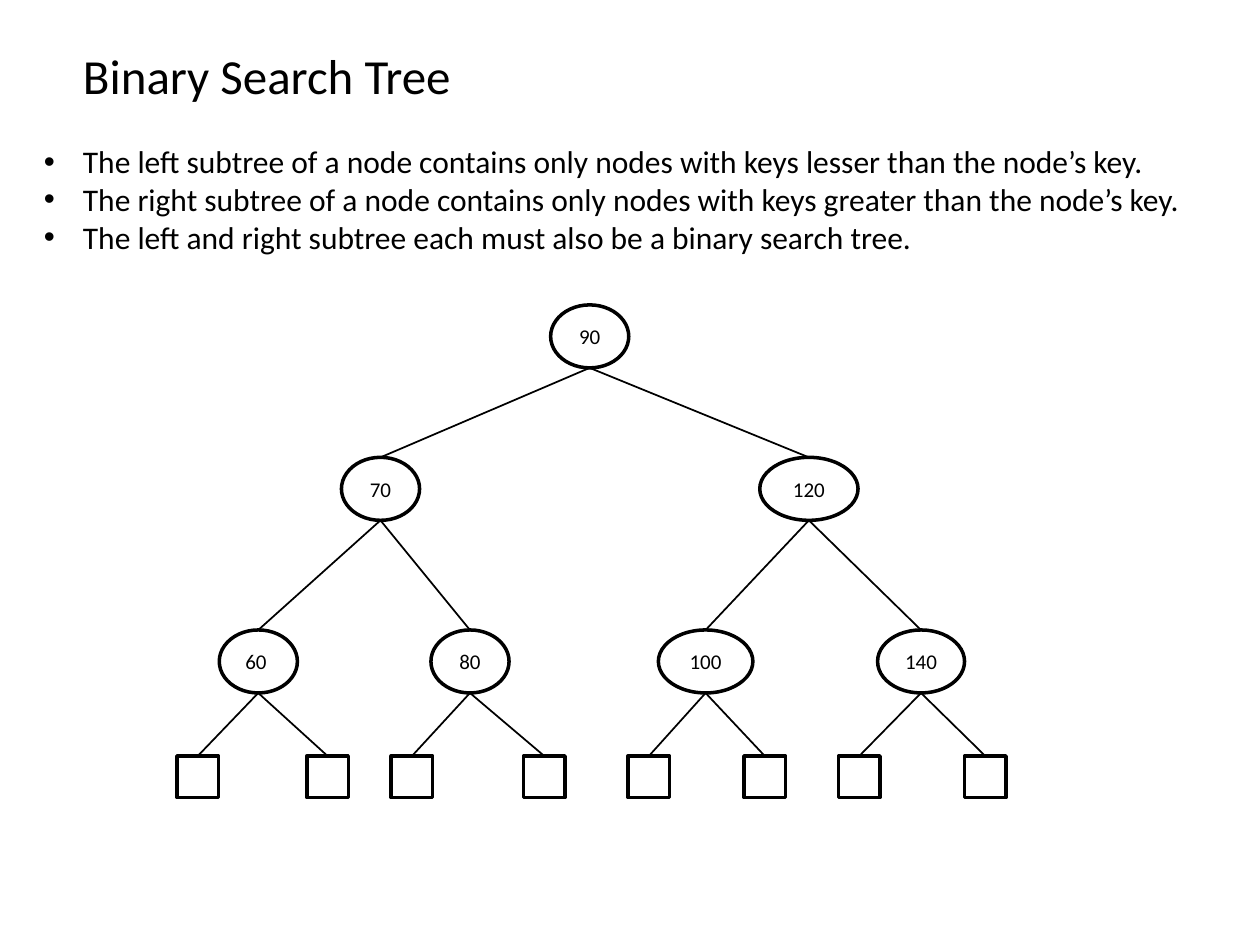
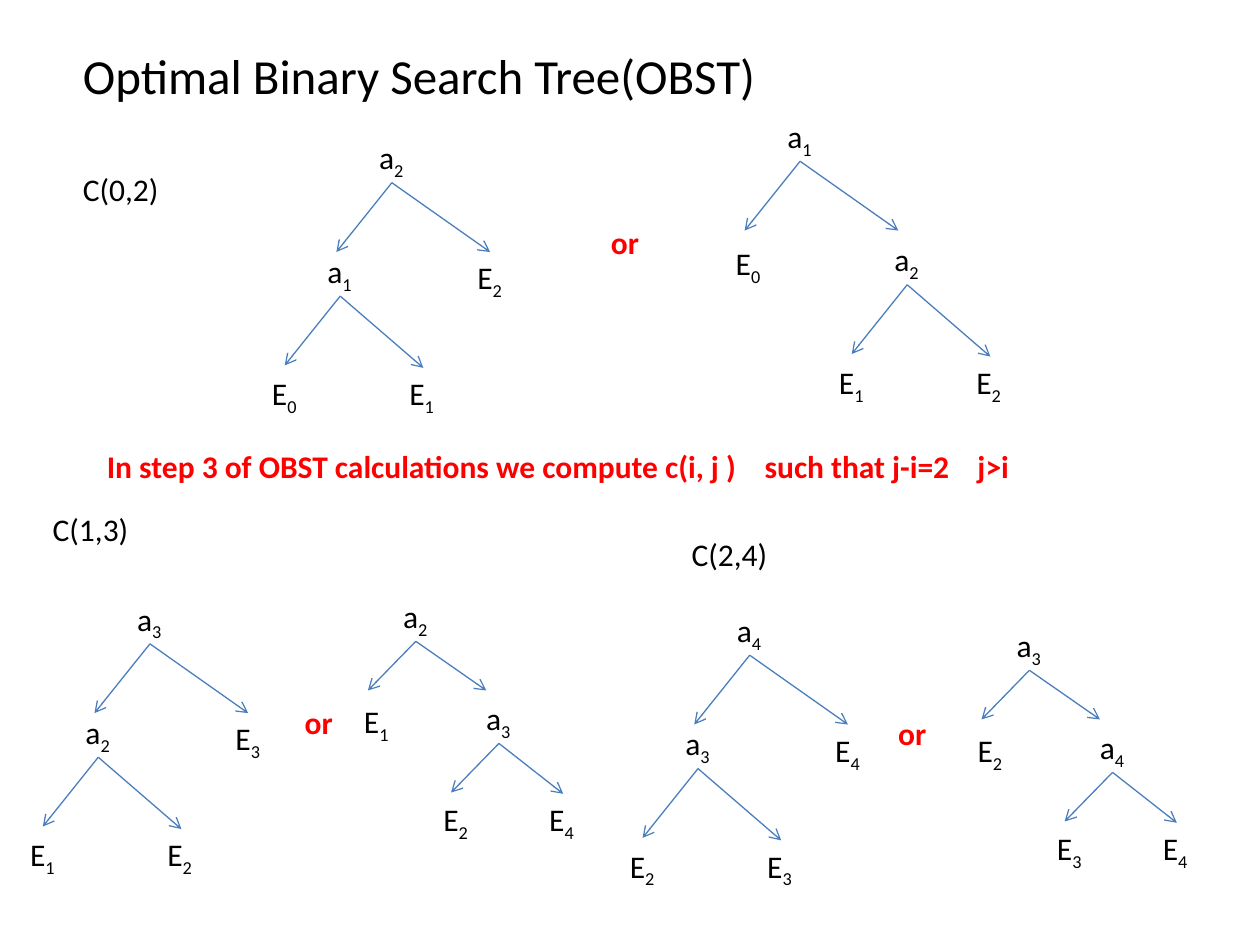
from dataclasses import dataclass
from typing import Optional

from lxml import etree
from pptx import Presentation
from pptx.dml.color import RGBColor
from pptx.enum import shapes, text
from pptx.oxml import ns
from pptx.shapes import autoshape, connector
from pptx.text.text import TextFrame
from pptx.util import Inches, Pt

BLACK = RGBColor(0, 0, 0)
RED = RGBColor(0xFF, 0, 0)
ARROW_BLUE = RGBColor(0x4B, 0x7E, 0xBC)
FONT = "Calibri"
BODY_SIZE = 18
NODE_HEIGHT = 0.5
LEAF_SIDE = 0.33
LEAF_TOP = 6
LABEL_SIDE = 0.41
LINE_HEIGHT = 0.4
BULLET_INDENT = 0.31

Point = tuple[float, float]


@dataclass(frozen=True)
class TextStyle:
    size: int = BODY_SIZE
    color: RGBColor = BLACK
    bold: bool = False


@dataclass(frozen=True)
class KeyNode:
    key: str
    center: float
    top: float
    width: float = 0.62
    children: tuple["KeyNode", ...] = ()
    leaves: tuple[float, ...] = ()


@dataclass(frozen=True)
class Fork:
    tips: tuple[Point, Point]
    children: tuple[Point, Point]


@dataclass(frozen=True)
class TreeForm:
    outer: Fork
    inner: Fork
    inner_side: int


@dataclass(frozen=True)
class SmallTree:
    left: float
    top: float
    form: TreeForm
    root: str
    leaf: str
    subtree: tuple[str, str, str]


@dataclass(frozen=True)
class Caption:
    words: str
    left: float
    top: float
    width: float
    style: TextStyle = TextStyle()


TITLE = TextStyle(size=28)
BODY = TextStyle()
NODE = TextStyle(size=12)
EMPHASIS = TextStyle(color=RED, bold=True)

SEARCH_TREE = KeyNode("90", 4.68, 2.42, children=(
    KeyNode("70", 3.02, 3.63, children=(
        KeyNode("60 ", 2.05, 5, leaves=(1.57, 2.6)),
        KeyNode("80", 3.73, 5, leaves=(3.27, 4.32)),
    )),
    KeyNode("120", 6.42, 3.63, 0.78, children=(
        KeyNode("100", 5.6, 5, 0.75, leaves=(5.15, 6.07)),
        KeyNode("140", 7.31, 5, 0.69, leaves=(6.82, 7.82)),
    )),
))

RULES = (
    "The left subtree of a node contains only nodes with keys lesser than the node’s key.",
    "The right subtree of a node contains only nodes with keys greater than the node’s key.",
    "The left and right subtree each must also be a binary search tree.",
)

FORK_START = (0.2, 0.4)
WIDE_TIPS = ((-0.24, 0.95), (0.98, 0.95))
WIDE_INNER = Fork(((-0.24, 0.95), (0.86, 0.97)), ((-0.44, 0.97), (0.65, 0.97)))
LEFT_FORM = TreeForm(Fork(WIDE_TIPS, ((-0.41, 0.9), (0.78, 0.95))), WIDE_INNER, 0)
RIGHT_FORM = TreeForm(Fork(WIDE_TIPS, ((-0.41, 1.01), (0.85, 0.98))), WIDE_INNER, 1)
COMPACT_FORM = TreeForm(
    Fork(((-0.18, 0.79), (0.76, 0.79)), ((-0.31, 0.83), (0.66, 0.81))),
    Fork(((-0.18, 0.79), (0.71, 0.8)), ((-0.34, 0.8), (0.5, 0.8))),
    1,
)

SMALL_TREES = (
    SmallTree(2.91, 1.05, LEFT_FORM, "a2", "E2", ("a1", "E0", "E1")),
    SmallTree(6.15, 0.88, RIGHT_FORM, "a1", "E0", ("a2", "E1", "E2")),
    SmallTree(0.99, 4.71, LEFT_FORM, "a3", "E3", ("a2", "E1", "E2")),
    SmallTree(3.1, 4.69, COMPACT_FORM, "a2", "E1", ("a3", "E2", "E4")),
    SmallTree(5.75, 4.8, LEFT_FORM, "a4", "E4", ("a3", "E2", "E3")),
    SmallTree(7.97, 4.92, COMPACT_FORM, "a3", "E2", ("a4", "E3", "E4")),
)

STEP_TABS = (5.22, 6.91)
STEP = Caption(
    "In step 3 of OBST calculations we compute c(i, j )\tsuch that j-i=2\tj>i",
    0.75, 3.5, 7.74, EMPHASIS,
)
CAPTIONS = (
    Caption("C(0,2)", 0.56, 1.3, 1.5),
    Caption("C(1,3)", 0.32, 4, 1.5),
    Caption("C(2,4)", 5.39, 4.2, 1.5),
    Caption("or", 4.75, 1.72, 0.5, EMPHASIS),
    Caption("or", 2.32, 5.53, 0.59, EMPHASIS),
    Caption("or", 7.03, 5.62, 0.59, EMPHASIS),
)


def format_text(frame: TextFrame, style: TextStyle) -> None:
    for para in frame.paragraphs:
        for span in para.runs:
            span.font.name = FONT
            span.font.size = Pt(style.size)
            span.font.color.rgb = style.color
            span.font.bold = style.bold


def add_text(holder, words: str, left: float, top: float, width: float,
             height: float = LINE_HEIGHT, style: TextStyle = BODY,
             wrap: bool = True) -> autoshape.Shape:
    box = holder.add_textbox(Inches(left), Inches(top), Inches(width), Inches(height))
    frame = box.text_frame
    frame.text = words
    frame.word_wrap = wrap
    frame.auto_size = text.MSO_AUTO_SIZE.SHAPE_TO_FIT_TEXT
    format_text(frame, style)
    return box


def add_caption(holder, caption: Caption) -> autoshape.Shape:
    return add_text(holder, caption.words, caption.left, caption.top,
                    caption.width, style=caption.style)


def add_title(holder, words: str) -> None:
    add_text(holder, words, 0.56, 0.31, 7.69, 0.57, TITLE)


def add_line(holder, start: Point, end: Point, color: RGBColor, width: float,
             arrow: bool = False) -> connector.Connector:
    line = holder.add_connector(shapes.MSO_CONNECTOR.STRAIGHT,
                                *(Inches(value) for value in (*start, *end)))
    line.line.color.rgb = color
    line.line.width = Pt(width)
    properties = line._element.spPr
    if arrow:
        outline = properties.find(ns.qn("a:ln"))
        etree.SubElement(outline, ns.qn("a:tailEnd")).set("type", "arrow")
    etree.SubElement(properties, ns.qn("a:effectLst"))
    return line


def add_outline(holder, kind: shapes.MSO_SHAPE, center: float, top: float,
                width: float, height: float) -> autoshape.Shape:
    shape = holder.add_shape(kind, Inches(center - width / 2), Inches(top),
                             Inches(width), Inches(height))
    shape.shadow.inherit = False
    shape.fill.background()
    shape.line.color.rgb = BLACK
    shape.line.width = Pt(2)
    return shape


def draw_key_node(holder, node: KeyNode,
                  parent_bottom: Optional[Point] = None) -> None:
    oval = add_outline(holder, shapes.MSO_SHAPE.OVAL, node.center, node.top,
                       node.width, NODE_HEIGHT)
    frame = oval.text_frame
    frame.text = node.key
    frame.word_wrap = False
    frame.vertical_anchor = text.MSO_ANCHOR.MIDDLE
    frame.paragraphs[0].alignment = text.PP_ALIGN.CENTER
    format_text(frame, NODE)
    if parent_bottom:
        edge = add_line(holder, parent_bottom, (node.center, node.top), BLACK, 1)
        edge.end_connect(oval, 0)
    bottom = (node.center, node.top + NODE_HEIGHT)
    for child in node.children:
        draw_key_node(holder, child, bottom)
    for center in node.leaves:
        leaf = add_outline(holder, shapes.MSO_SHAPE.RECTANGLE, center, LEAF_TOP,
                           LEAF_SIDE, LEAF_SIDE)
        add_line(holder, bottom, (center, LEAF_TOP), BLACK, 1).end_connect(leaf, 0)


def add_label(holder, name: str, corner: Point) -> None:
    box = add_text(holder, name[0], *corner, LABEL_SIDE, wrap=False)
    index = box.text_frame.paragraphs[0].add_run()
    index.text = name[1:]
    format_text(box.text_frame, BODY)
    index._r.get_or_add_rPr().set("baseline", "-25000")


def shift(corner: Point, offset: Point) -> Point:
    return corner[0] + offset[0], corner[1] + offset[1]


def draw_fork(holder, corner: Point, fork: Fork) -> list[Point]:
    for tip in fork.tips:
        add_line(holder, shift(corner, FORK_START), shift(corner, tip),
                 ARROW_BLUE, 0.75, arrow=True)
    return [shift(corner, child) for child in fork.children]


def draw_small_tree(holder, tree: SmallTree) -> None:
    members = holder.add_group_shape().shapes
    corner = (tree.left, tree.top)
    add_label(members, tree.root, corner)
    corners = draw_fork(members, corner, tree.form.outer)
    inner = corners.pop(tree.form.inner_side)
    add_label(members, tree.leaf, corners[0])
    places = [inner, *draw_fork(members, inner, tree.form.inner)]
    for name, place in zip(tree.subtree, places):
        add_label(members, name, place)


def add_rules(holder) -> None:
    box = add_text(holder, "\n".join(RULES), 0.25, 1.08, 9.5, 1.01)
    for para in box.text_frame.paragraphs:
        properties = para._p.get_or_add_pPr()
        properties.set("marL", str(Inches(BULLET_INDENT)))
        properties.set("indent", str(-Inches(BULLET_INDENT)))
        etree.SubElement(properties, ns.qn("a:buFont")).set("typeface", "Arial")
        etree.SubElement(properties, ns.qn("a:buChar")).set("char", "•")


def add_step(holder) -> None:
    para = add_caption(holder, STEP).text_frame.paragraphs[0]
    stops = etree.SubElement(para._p.get_or_add_pPr(), ns.qn("a:tabLst"))
    for position in STEP_TABS:
        stop = etree.SubElement(stops, ns.qn("a:tab"))
        stop.set("pos", str(Inches(position)))
        stop.set("algn", "l")


def build_search_tree(deck) -> None:
    holder = deck.slides.add_slide(deck.slide_layouts[6]).shapes
    add_title(holder, "Binary Search Tree")
    add_rules(holder)
    draw_key_node(holder, SEARCH_TREE)


def build_optimal_tree(deck) -> None:
    holder = deck.slides.add_slide(deck.slide_layouts[6]).shapes
    add_title(holder, "Optimal Binary Search Tree(OBST)")
    for caption in CAPTIONS:
        add_caption(holder, caption)
    for tree in SMALL_TREES:
        draw_small_tree(holder, tree)
    add_step(holder)


def main() -> None:
    deck = Presentation()
    deck.slide_width = Inches(10)
    deck.slide_height = Inches(7.5)
    build_search_tree(deck)
    build_optimal_tree(deck)
    deck.save("out.pptx")


if __name__ == "__main__":
    main()
